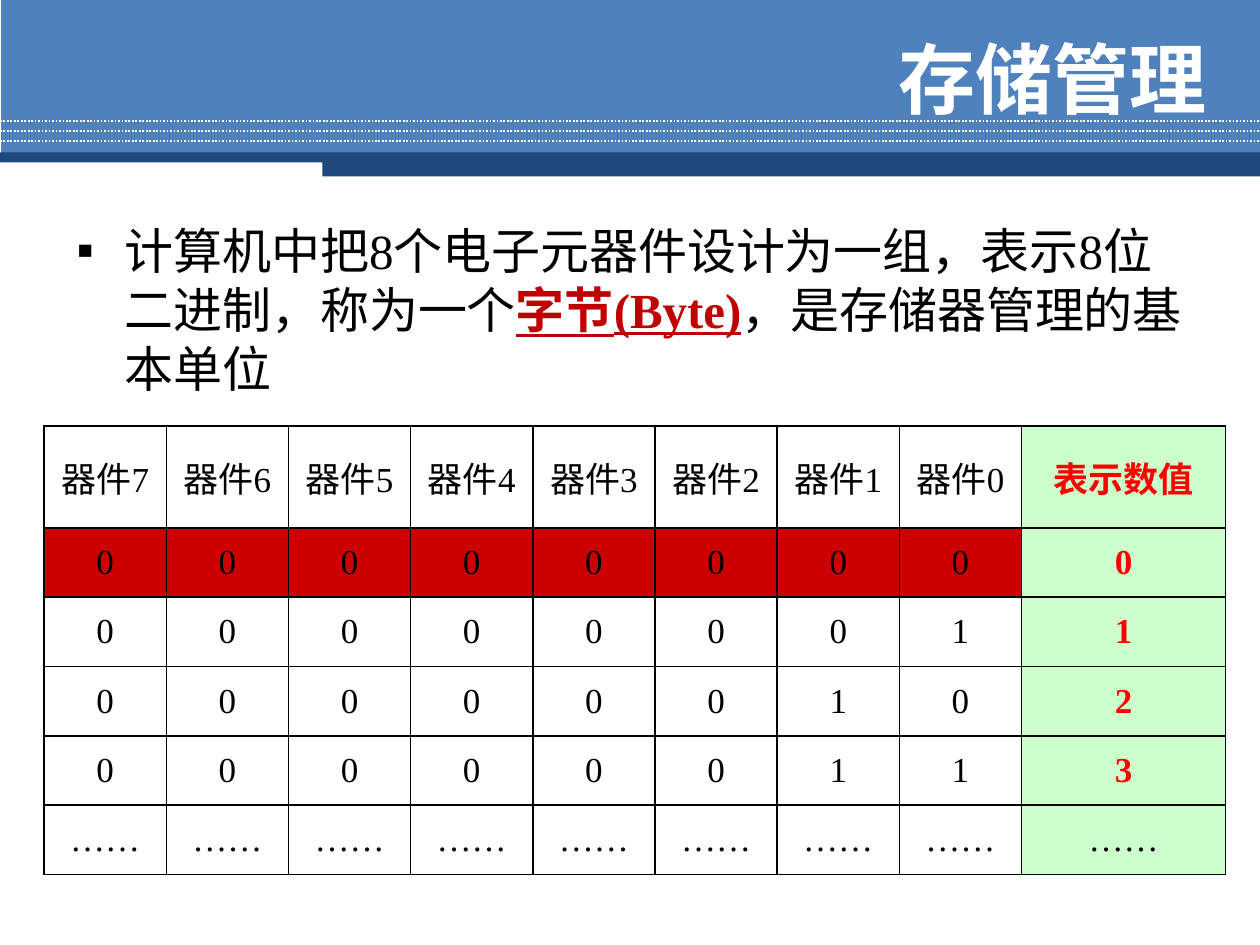
import pptx
import pptx.dml.color
import pptx.enum.dml
import pptx.enum.shapes
import pptx.enum.text
import pptx.oxml
import pptx.oxml.ns
import pptx.util
from lxml import etree
from pptx.util import Inches

COLORS = {
    "black": "000000", "white": "FFFFFF", "band": "4F81BD", "navy": "1F497D",
    "term": "C00000", "value": "FF0000", "value_fill": "CCFFCC", "zero_fill": "CC0000",
}
FONT = "Times New Roman"
DEVICES = 8
VALUES = 4
ELLIPSIS = "……"


def rgb(name):
    """Return the named colour."""
    return pptx.dml.color.RGBColor.from_string(COLORS[name])


def format_run(run, size, color, bold=False, underline=False):
    """Set the font of a run."""
    font = run.font
    font.name, font.size = FONT, pptx.util.Pt(size)
    font.bold, font.underline = bold, underline
    font.color.rgb = rgb(color)


def add_bar(slide, left, top, width, height, color):
    """Add a plain filled rectangle."""
    bar = slide.shapes.add_shape(
        pptx.enum.shapes.MSO_SHAPE.RECTANGLE,
        Inches(left), Inches(top), Inches(width), Inches(height))
    bar.shadow.inherit = False
    bar.fill.solid()
    bar.fill.fore_color.rgb = rgb(color)
    bar.line.fill.background()


def add_dotted_line(slide, top):
    """Add a dotted white line across the slide."""
    line = slide.shapes.add_connector(
        pptx.enum.shapes.MSO_CONNECTOR.STRAIGHT,
        Inches(0), Inches(top), Inches(10), Inches(top))
    line.line.color.rgb = rgb("white")
    line.line.width = pptx.util.Pt(1)
    line.line.dash_style = pptx.enum.dml.MSO_LINE.ROUND_DOT
    etree.SubElement(line.element.spPr, pptx.oxml.ns.qn("a:effectLst"))


def add_header(slide):
    """Draw the banner with its dotted lines and dark edge."""
    add_bar(slide, 0.01, 0, 9.99, 1.23, "band")
    for index in range(3):
        add_dotted_line(slide, 0.96 + 0.08 * index)
    add_bar(slide, 0, 1.21, 10, 0.08, "navy")
    add_bar(slide, 2.56, 1.24, 7.44, 0.16, "navy")


def set_title(slide, text):
    """Place the title in front of the banner."""
    title = slide.shapes.title
    title.left, title.top = Inches(3.27), Inches(0.21)
    title.width, title.height = Inches(6.41), Inches(0.81)
    frame = title.text_frame
    frame.text = text
    frame.vertical_anchor = pptx.enum.text.MSO_ANCHOR.MIDDLE
    paragraph = frame.paragraphs[0]
    paragraph.alignment = pptx.enum.text.PP_ALIGN.RIGHT
    format_run(paragraph.runs[0], 44, "white", bold=True)
    slide.shapes.element.append(title.element)


def add_bullet(slide, parts):
    """Add a bulleted paragraph from pairs of text and emphasis."""
    box = slide.shapes.add_textbox(Inches(0.51), Inches(1.7), Inches(9), Inches(1.11))
    box.text_frame.word_wrap = True
    paragraph = box.text_frame.paragraphs[0]
    paragraph.space_before = pptx.util.Pt(5.6)
    properties = paragraph._p.get_or_add_pPr()
    properties.set("marL", str(Inches(0.38)))
    properties.set("indent", str(-Inches(0.38)))
    bullet_font = etree.SubElement(properties, pptx.oxml.ns.qn("a:buFont"))
    bullet_font.set("typeface", FONT)
    bullet = etree.SubElement(properties, pptx.oxml.ns.qn("a:buChar"))
    bullet.set("char", "▪")
    for text, emphasized in parts:
        run = paragraph.add_run()
        run.text = text
        format_run(run, 28, "term" if emphasized else "black", emphasized, emphasized)


def set_borders(cell):
    """Give a cell thin black borders on all sides."""
    properties = cell._tc.get_or_add_tcPr()
    for index, side in enumerate(("lnL", "lnR", "lnT", "lnB")):
        border = pptx.oxml.parse_xml(
            f'<a:{side} {pptx.oxml.ns.nsdecls("a")} w="12700"><a:solidFill>'
            f'<a:srgbClr val="{COLORS["black"]}"/></a:solidFill></a:{side}>')
        properties.insert(index, border)


def fill_cell(cell, text, color, bold, fill):
    """Write and format one table cell."""
    cell.text = text
    cell.vertical_anchor = pptx.enum.text.MSO_ANCHOR.MIDDLE
    paragraph = cell.text_frame.paragraphs[0]
    paragraph.alignment = pptx.enum.text.PP_ALIGN.CENTER
    format_run(paragraph.runs[0], 20, color, bold)
    if fill:
        cell.fill.solid()
        cell.fill.fore_color.rgb = rgb(fill)
    else:
        cell.fill.background()
    set_borders(cell)


def table_rows():
    """Return the header, the binary counting rows and the ellipsis row."""
    header = [f"器件{device}" for device in reversed(range(DEVICES))] + ["表示数值"]
    counting = [[*f"{value:0{DEVICES}b}", str(value)] for value in range(VALUES)]
    return [header, *counting, [ELLIPSIS] * (DEVICES + 1)]


def add_byte_table(slide):
    """Add the table of device states and their values."""
    rows = table_rows()
    table = slide.shapes.add_table(
        len(rows), DEVICES + 1,
        Inches(0.35), Inches(3.38), Inches(9.38), Inches(3.56)).table
    table.first_row = table.horz_banding = False
    for index, column in enumerate(table.columns):
        column.width = Inches(0.97 if index < DEVICES else 1.62)
    for index, row in enumerate(table.rows):
        row.height = Inches(0.55 if index else 0.81)
    for row_index, row in enumerate(rows):
        for column_index, text in enumerate(row):
            is_value = column_index == DEVICES
            emphasized = is_value and text != ELLIPSIS
            fill = "value_fill" if is_value else "zero_fill" if row_index == 1 else None
            fill_cell(table.cell(row_index, column_index), text,
                      "value" if emphasized else "black", emphasized, fill)


def main():
    """Build and save the slide."""
    presentation = pptx.Presentation()
    presentation.slide_width, presentation.slide_height = Inches(10), Inches(7.5)
    slide = presentation.slides.add_slide(presentation.slide_layouts[5])
    add_header(slide)
    add_bullet(slide, [
        ("计算机中把8个电子元器件设计为一组，表示8位二进制，称为一个", False),
        ("字节(Byte)", True),
        ("，是存储器管理的基本单位", False),
    ])
    add_byte_table(slide)
    set_title(slide, "存储管理")
    presentation.save("out.pptx")


if __name__ == "__main__":
    main()
